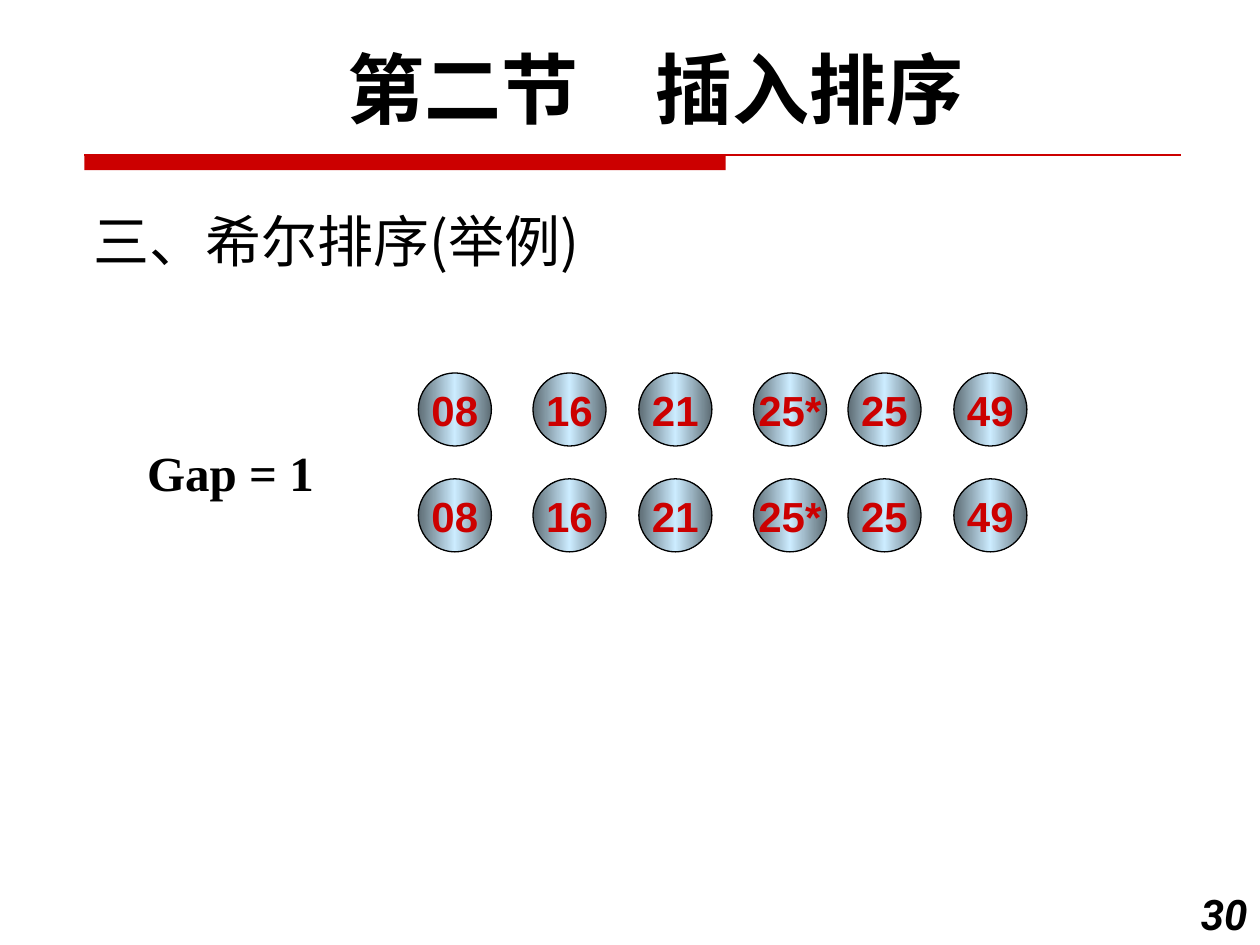
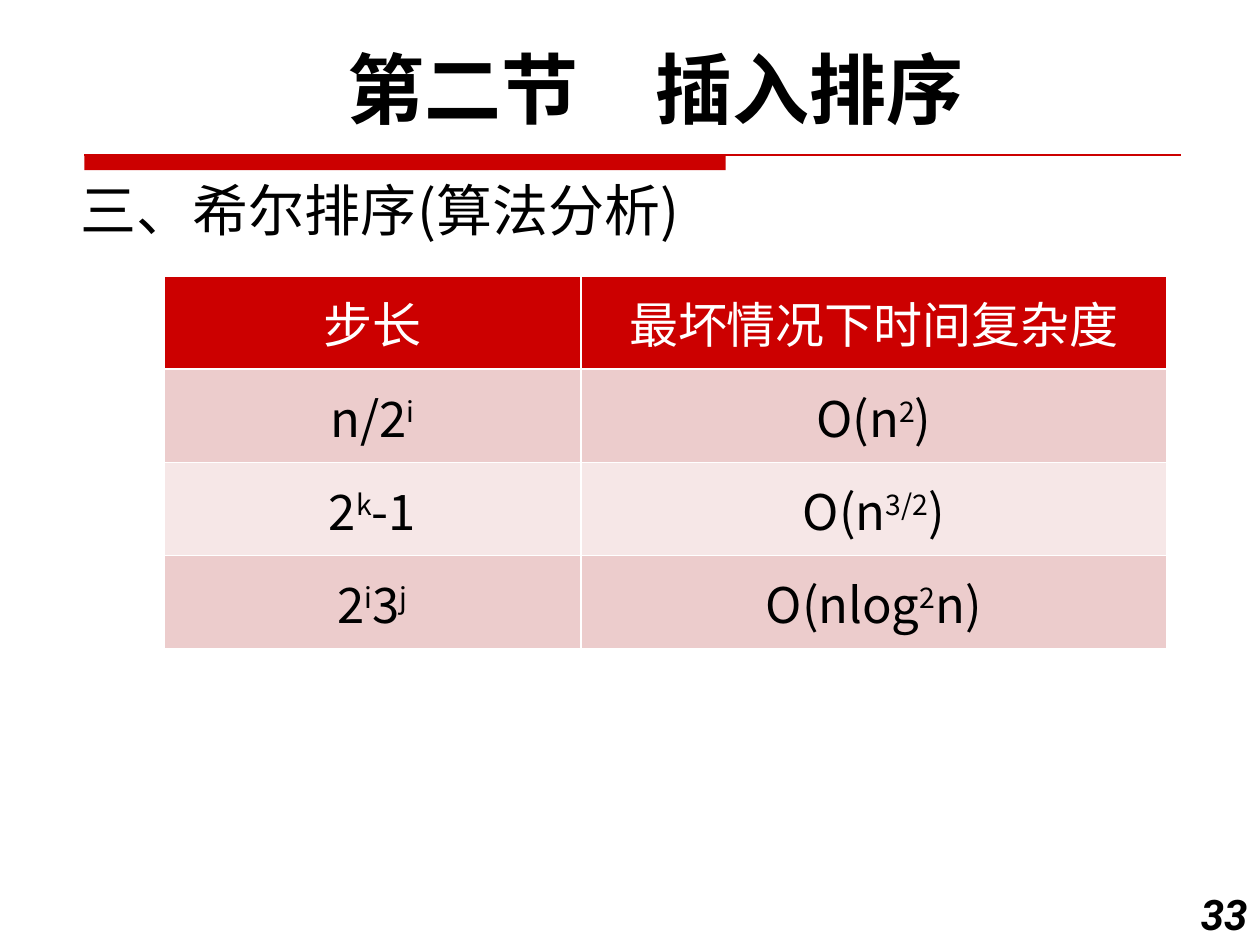
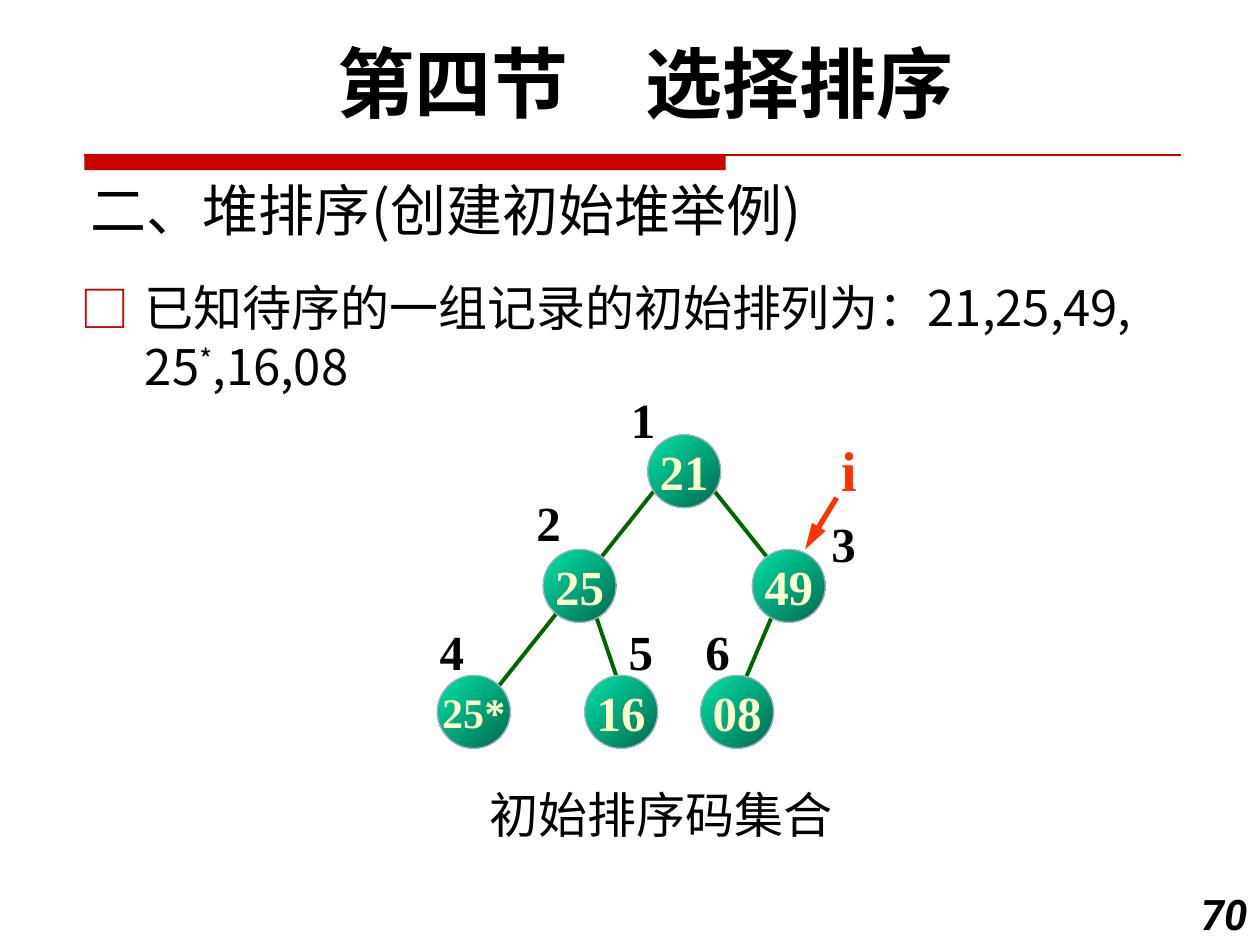
from pptx import Presentation
from pptx.dml.color import RGBColor
from pptx.enum.shapes import MSO_CONNECTOR, MSO_SHAPE
from pptx.enum.text import MSO_ANCHOR, MSO_AUTO_SIZE, PP_ALIGN
from pptx.oxml.ns import qn
from pptx.util import Inches, Pt
from lxml.etree import SubElement

RED = RGBColor(0xCC, 0x00, 0x00)
BLACK = RGBColor(0x00, 0x00, 0x00)
WHITE = RGBColor(0xFF, 0xFF, 0xFF)
PINK = RGBColor(0xEC, 0xCC, 0xCC)
PALE_PINK = RGBColor(0xF6, 0xE7, 0xE7)
STEEL = RGBColor(0x5D, 0x6C, 0x74)
SKY = RGBColor(0xCC, 0xEC, 0xFF)
MINT = RGBColor(0x00, 0xE4, 0xA8)
TEAL = RGBColor(0x00, 0x68, 0x4C)
GREY_BLUE = RGBColor(0xA3, 0xB2, 0xC1)
CREAM = RGBColor(0xFF, 0xFF, 0xCC)
EDGE_GREEN = RGBColor(0x00, 0x66, 0x00)
ORANGE = RGBColor(0xFF, 0x33, 0x00)

CJK = "Noto Sans CJK SC"
SANS = "Roboto"
ARIAL = "Arial"
SERIF = "Times New Roman"

TITLE_ONLY, TITLE_AND_BODY = 5, 1
BALL_SIZE = 0.58

SORTED_KEYS = [("08", 3.32), ("16", 4.23), ("21", 5.07),
               ("25*", 5.98), ("25", 6.73), ("49", 7.57)]
GAP_ROWS = [2.96, 3.8]

COMPLEXITY = [
    ("步长", "最坏情况下时间复杂度"),
    ("n/2^i^", "O(n^2^)"),
    ("2^k^-1", "O(n^3/2^)"),
    ("2^i^3^j^", "O(nlog^2^n)"),
]
COLUMN_WIDTHS = [3.31, 4.65]
ROW_HEIGHT = 0.74

RECORDS = "已知待序的一组记录的初始排列为：21,25,49, 25^*^,16,08"
TREE_NODES = [("21", 5.14, 3.45), ("25", 4.31, 4.36), ("49", 5.97, 4.36),
              ("25*", 3.47, 5.36), ("16", 4.64, 5.36), ("08", 5.56, 5.36)]
TREE_EDGES = [(6.14, 4.86, 5.89, 5.45), (4.72, 4.86, 4.89, 5.36),
              (5.64, 3.86, 6.31, 4.7), (5.22, 3.86, 3.89, 5.53)]
NODE_NUMBERS = [(4.91, 3.04), (4.16, 3.86), (6.5, 4.03),
                (3.39, 4.88), (4.89, 4.88), (5.5, 4.88)]


def format_runs(paragraph, font, size, color, bold=False, italic=False):
    for run in paragraph.runs:
        run.font.name = font
        run.font.size = Pt(size)
        run.font.color.rgb = color
        run.font.bold = bold
        run.font.italic = italic
        SubElement(run.font._element, qn("a:ea"), typeface=CJK)


def write_marked(paragraph, text):
    for index, part in enumerate(text.split("^")):
        if part:
            run = paragraph.add_run()
            run.text = part
            if index % 2:
                run.font._element.set("baseline", "30000")


def place(shape, left, top, width, height):
    shape.left, shape.top = Inches(left), Inches(top)
    shape.width, shape.height = Inches(width), Inches(height)


def add_text(slide, text, box, font, size, color=BLACK, bold=False,
             italic=False, align=PP_ALIGN.LEFT, wrap=False):
    shape = slide.shapes.add_textbox(*map(Inches, box))
    frame = shape.text_frame
    frame.word_wrap = wrap
    frame.text = text
    paragraph = frame.paragraphs[0]
    paragraph.alignment = align
    format_runs(paragraph, font, size, color, bold, italic)


def add_line(slide, ends, color, width):
    line = slide.shapes.add_connector(MSO_CONNECTOR.STRAIGHT, *map(Inches, ends))
    line.line.color.rgb = color
    line.line.width = Pt(width)
    SubElement(line._element.spPr, qn("a:effectLst"))
    return line


def add_ball(slide, text, left, top, stops, angle, outline, font, size, color):
    ball = slide.shapes.add_shape(MSO_SHAPE.OVAL, Inches(left), Inches(top),
                                  Inches(BALL_SIZE), Inches(BALL_SIZE))
    ball.shadow.inherit = False
    ball.fill.gradient()
    ball.fill.gradient_angle = -angle % 360
    stop_list = ball._element.spPr.find(".//" + qn("a:gsLst"))
    for stop in list(stop_list):
        stop_list.remove(stop)
    for index, stop_color in enumerate(stops):
        position = index * 100000 // (len(stops) - 1)
        stop = SubElement(stop_list, qn("a:gs"), pos=str(position))
        SubElement(stop, qn("a:srgbClr"), val=str(stop_color))
    ball.line.color.rgb = outline
    ball.line.width = Pt(0.75)
    frame = ball.text_frame
    frame.word_wrap = False
    frame.vertical_anchor = MSO_ANCHOR.MIDDLE
    frame.text = text
    frame.paragraphs[0].alignment = PP_ALIGN.CENTER
    format_runs(frame.paragraphs[0], font, size, color, bold=True)


def start_slide(presentation, layout, section, section_at, topic, topic_at, number):
    slide = presentation.slides.add_slide(presentation.slide_layouts[layout])
    band = slide.shapes.add_shape(MSO_SHAPE.RECTANGLE, Inches(0.67), Inches(1.23),
                                  Inches(5.09), Inches(0.12))
    band.shadow.inherit = False
    band.fill.solid()
    band.fill.fore_color.rgb = RED
    band.line.fill.background()
    add_line(slide, (0.67, 1.23, 9.37, 1.23), RED, 0.75)

    title = slide.shapes.title
    place(title, *topic_at, 6.25, 0.75)
    frame = title.text_frame
    frame.auto_size = MSO_AUTO_SIZE.NONE
    frame.vertical_anchor = MSO_ANCHOR.BOTTOM
    frame.text = topic
    frame.paragraphs[0].alignment = PP_ALIGN.LEFT
    format_runs(frame.paragraphs[0], CJK, 32, BLACK)

    add_text(slide, section, (*section_at, 9.25, 0.84), SANS, 44, bold=True,
             align=PP_ALIGN.CENTER, wrap=True)
    add_text(slide, number, (9.33, 7, 0.67, 0.5), SANS, 24, bold=True, italic=True,
             align=PP_ALIGN.RIGHT, wrap=True)
    return slide


def build_gap_example(presentation):
    slide = start_slide(presentation, TITLE_ONLY, "第二节　插入排序", (0.58, 0.28),
                        "三、希尔排序(举例)", (0.64, 1.47), "30")
    add_text(slide, "Gap = 1", (1.07, 3.46, 1.53, 0.57), SERIF, 28, bold=True)
    for top in GAP_ROWS:
        for key, left in SORTED_KEYS:
            add_ball(slide, key, left, top, [STEEL, SKY, STEEL], 0, BLACK,
                     ARIAL, 24, RED)


def build_complexity(presentation):
    slide = start_slide(presentation, TITLE_ONLY, "第二节　插入排序", (0.58, 0.28),
                        "三、希尔排序(算法分析)", (0.54, 1.23), "33")
    rows, columns = len(COMPLEXITY), len(COLUMN_WIDTHS)
    table = slide.shapes.add_table(rows, columns, Inches(1.3), Inches(2.19),
                                   Inches(sum(COLUMN_WIDTHS)),
                                   Inches(rows * ROW_HEIGHT)).table
    for column, width in zip(table.columns, COLUMN_WIDTHS):
        column.width = Inches(width)
    for row_index, texts in enumerate(COMPLEXITY):
        fill = RED if row_index == 0 else (PALE_PINK, PINK)[row_index % 2]
        for column_index, text in enumerate(texts):
            cell = table.cell(row_index, column_index)
            cell.fill.solid()
            cell.fill.fore_color.rgb = fill
            cell.vertical_anchor = MSO_ANCHOR.MIDDLE
            paragraph = cell.text_frame.paragraphs[0]
            paragraph.alignment = PP_ALIGN.CENTER
            write_marked(paragraph, text)
            format_runs(paragraph, CJK, 28, BLACK if row_index else WHITE)


def build_initial_heap(presentation):
    slide = start_slide(presentation, TITLE_AND_BODY, "第四节　选择排序", (0.5, 0.23),
                        "二、堆排序(创建初始堆举例)", (0.62, 1.23), "70")
    body = slide.placeholders[1]
    place(body, 0.54, 2.15, 9.58, 4.42)
    body.text_frame.auto_size = MSO_AUTO_SIZE.NONE
    paragraph = body.text_frame.paragraphs[0]
    paragraph.space_before = Pt(0)
    properties = paragraph._element.get_or_add_pPr()
    properties.set("marL", str(Inches(0.51)))
    properties.set("indent", str(Inches(-0.51)))
    bullet_color = SubElement(properties, qn("a:buClr"))
    SubElement(bullet_color, qn("a:srgbClr"), val=str(RED))
    SubElement(properties, qn("a:buFont"), typeface=CJK)
    SubElement(properties, qn("a:buChar"), char="□")
    write_marked(paragraph, RECORDS)
    format_runs(paragraph, CJK, 28, BLACK)

    for ends in TREE_EDGES:
        add_line(slide, ends, EDGE_GREEN, 2.25)
    for key, left, top in TREE_NODES:
        add_ball(slide, key, left, top, [MINT, TEAL], 45, GREY_BLUE,
                 SERIF, 24 if len(key) > 2 else 28, CREAM)
    for number, (left, top) in enumerate(NODE_NUMBERS, 1):
        add_text(slide, str(number), (left, top, 0.4, 0.57), SERIF, 28, bold=True)

    pointer = add_line(slide, (6.64, 3.95, 6.39, 4.36), ORANGE, 3)
    SubElement(pointer.line._get_or_add_ln(), qn("a:tailEnd"), type="triangle",
               w="med", len="lg")
    add_text(slide, "i", (6.58, 3.41, 0.32, 0.63), SERIF, 32, ORANGE, bold=True)
    add_text(slide, "初始排序码集合", (3.79, 6.18, 2.94, 0.57), CJK, 28)


def main():
    presentation = Presentation()
    presentation.slide_width = Inches(10)
    presentation.slide_height = Inches(7.5)
    build_gap_example(presentation)
    build_complexity(presentation)
    build_initial_heap(presentation)
    presentation.save("out.pptx")


if __name__ == "__main__":
    main()
